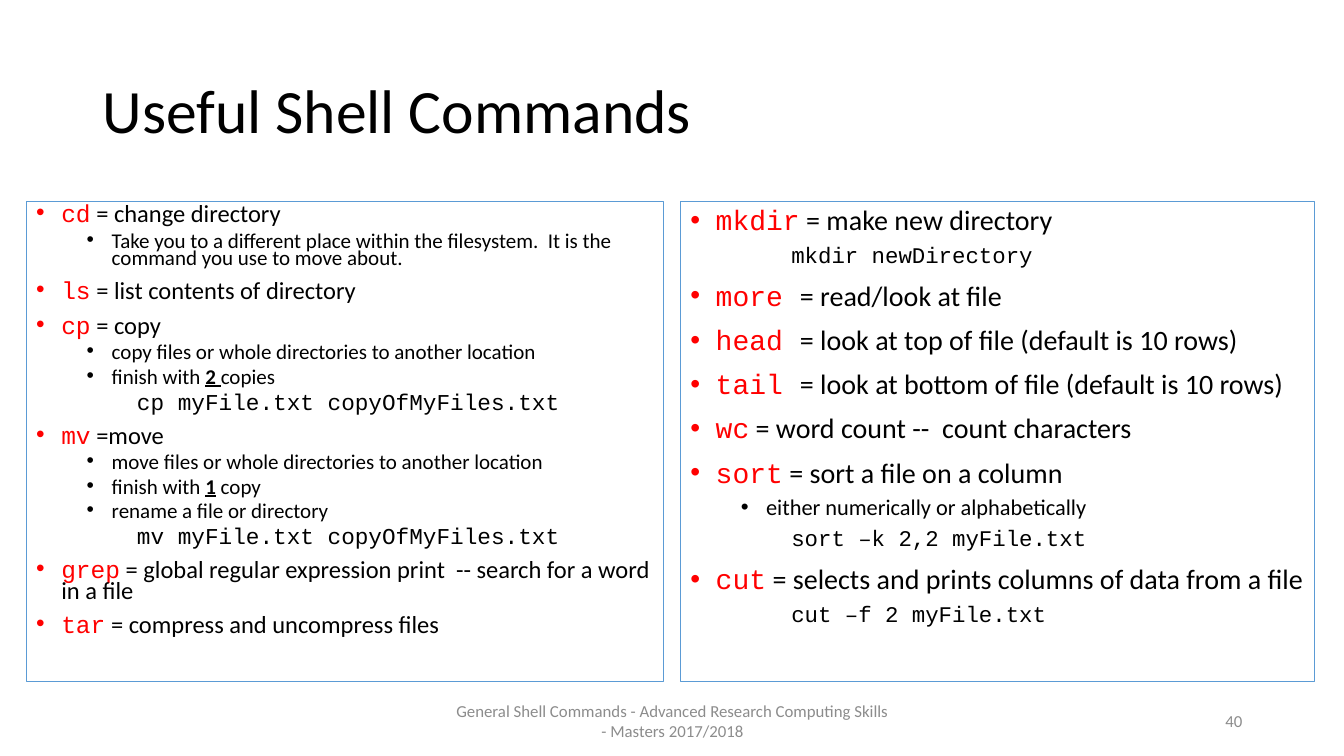
from lxml import etree
from pptx import Presentation
from pptx import util as u
from pptx.dml.color import RGBColor
from pptx.enum import shapes, text
from pptx.oxml import ns

COLORS = {"black": "000000", "command": "FF0000", "border": "5B9BD5",
          "panel": "FFFFFF", "footer": "8C8C8C"}
SANS, MONO = "Calibri", "Courier New"
STRONG = {"bold": True, "underline": True}


def add_text(para, words, size, font=SANS, color="black", bold=False, underline=False):
    """Add one formatted run to a paragraph."""
    span = para.add_run()
    span.text = words
    span.font.size = u.Pt(size)
    span.font.name = font
    span.font.bold = bold
    span.font.underline = underline
    span.font.color.rgb = RGBColor.from_string(COLORS[color])


class CommandSlide:
    """Hold the style and the current slide."""

    def __init__(self, deck):
        """Open a blank page in the deck."""
        self.page = deck.slides.add_slide(deck.slide_layouts[6])

    def label(self, words, left, top, width, height, align=text.PP_ALIGN.LEFT,
              spacing=1.0, **style):
        """Add a vertically centred text box."""
        box = self.page.shapes.add_textbox(*map(u.Inches, (left, top, width, height)))
        frame = box.text_frame
        frame.word_wrap = True
        frame.vertical_anchor = text.MSO_ANCHOR.MIDDLE
        para = frame.paragraphs[0]
        para.alignment = align
        para.line_spacing = spacing
        add_text(para, words, **style)

    def panel(self, left, width, entries, sizes, spacing):
        """Add a bordered panel of commands, notes and code lines."""
        box = self.page.shapes.add_shape(shapes.MSO_SHAPE.RECTANGLE, u.Inches(left),
                                         u.Inches(2), u.Inches(width), u.Inches(4.76))
        box.shadow.inherit = False
        box.fill.solid()
        box.fill.fore_color.rgb = RGBColor.from_string(COLORS["panel"])
        box.line.color.rgb = RGBColor.from_string(COLORS["border"])
        box.line.width = u.Pt(1)
        frame = box.text_frame
        frame.word_wrap = True
        frame.vertical_anchor = text.MSO_ANCHOR.TOP
        for index, (kind, *parts) in enumerate(entries):
            para = frame.add_paragraph() if index else frame.paragraphs[0]
            para.alignment = text.PP_ALIGN.LEFT
            para.line_spacing = spacing
            self.entry(para, kind, parts, sizes[kind])

    def entry(self, para, kind, parts, size):
        """Fill one paragraph of a panel."""
        if kind == "command":
            name, meaning = parts
            self.indent(para, 0, 0.25, 10)
            add_text(para, name, size, font=MONO, color="command")
            add_text(para, meaning, size)
        elif kind == "note":
            self.indent(para, 1, 0.75, 5)
            for part in parts:
                words, style = part if isinstance(part, tuple) else (part, {})
                add_text(para, words, size, **style)
        else:
            self.indent(para, 1, 0.5, 5, bullet=False)
            add_text(para, "\t" + parts[0], size, font=MONO)

    def indent(self, para, level, margin, before, bullet=True):
        """Set the level, margin, space before and bullet of a paragraph."""
        para.level = level
        para.space_before = u.Pt(before)
        props = para._p.get_or_add_pPr()
        props.set("marL", str(u.Inches(margin)))
        props.set("indent", str(u.Inches(-0.25 if bullet else 0)))
        if bullet:
            etree.SubElement(props, ns.qn("a:buFont"), typeface="Arial")
            etree.SubElement(props, ns.qn("a:buChar"), char="•")
        else:
            etree.SubElement(props, ns.qn("a:buNone"))


FILE_COMMANDS = [
    ("command", "cd", " = change directory"),
    ("note", "Take you to a different place within the filesystem.  "
             "It is the command you use to move about."),
    ("command", "ls", " = list contents of directory"),
    ("command", "cp", " = copy"),
    ("note", "copy files or whole directories to another location"),
    ("note", "finish with ", ("2 ", STRONG), "copies"),
    ("code", "cp myFile.txt copyOfMyFiles.txt"),
    ("command", "mv", " =move"),
    ("note", "move files or whole directories to another location"),
    ("note", "finish with ", ("1", STRONG), " copy"),
    ("note", "rename a file or directory"),
    ("code", "mv myFile.txt copyOfMyFiles.txt"),
    ("command", "grep", " = global regular expression print  -- search for a word in a file"),
    ("command", "tar", " = compress and uncompress files"),
]
TEXT_COMMANDS = [
    ("command", "mkdir", " = make new directory"),
    ("code", "mkdir newDirectory"),
    ("command", "more ", "= read/look at file"),
    ("command", "head ", "= look at top of file (default is 10 rows)"),
    ("command", "tail ", "= look at bottom of file (default is 10 rows)"),
    ("command", "wc", " = word count --  count characters"),
    ("command", "sort", " = sort a file on a column"),
    ("note", "either numerically or alphabetically"),
    ("code", "sort –k 2,2 myFile.txt"),
    ("command", "cut", " = selects and prints columns of data from a file"),
    ("code", "cut –f 2 myFile.txt"),
]


def main():
    """Build and save the deck."""
    deck = Presentation()
    deck.slide_width, deck.slide_height = u.Inches(13.33), u.Inches(7.5)
    slide = CommandSlide(deck)
    slide.label("Useful Shell Commands", 0.92, 0.4, 11.5, 1.45, spacing=0.9, size=44)
    slide.panel(0.26, 6.32, FILE_COMMANDS,
                {"command": 17.5, "note": 15, "code": 16.2}, spacing=0.7)
    slide.panel(6.75, 6.29, TEXT_COMMANDS,
                {"command": 20, "note": 16, "code": 16}, spacing=0.9)
    slide.label("General Shell Commands - Advanced Research Computing Skills - Masters 2017/2018",
                4.42, 6.95, 4.5, 0.4, align=text.PP_ALIGN.CENTER, size=12, color="footer")
    slide.label("40", 9.42, 6.95, 3, 0.4, align=text.PP_ALIGN.RIGHT, size=12, color="footer")
    deck.save("out.pptx")


if __name__ == "__main__":
    main()
